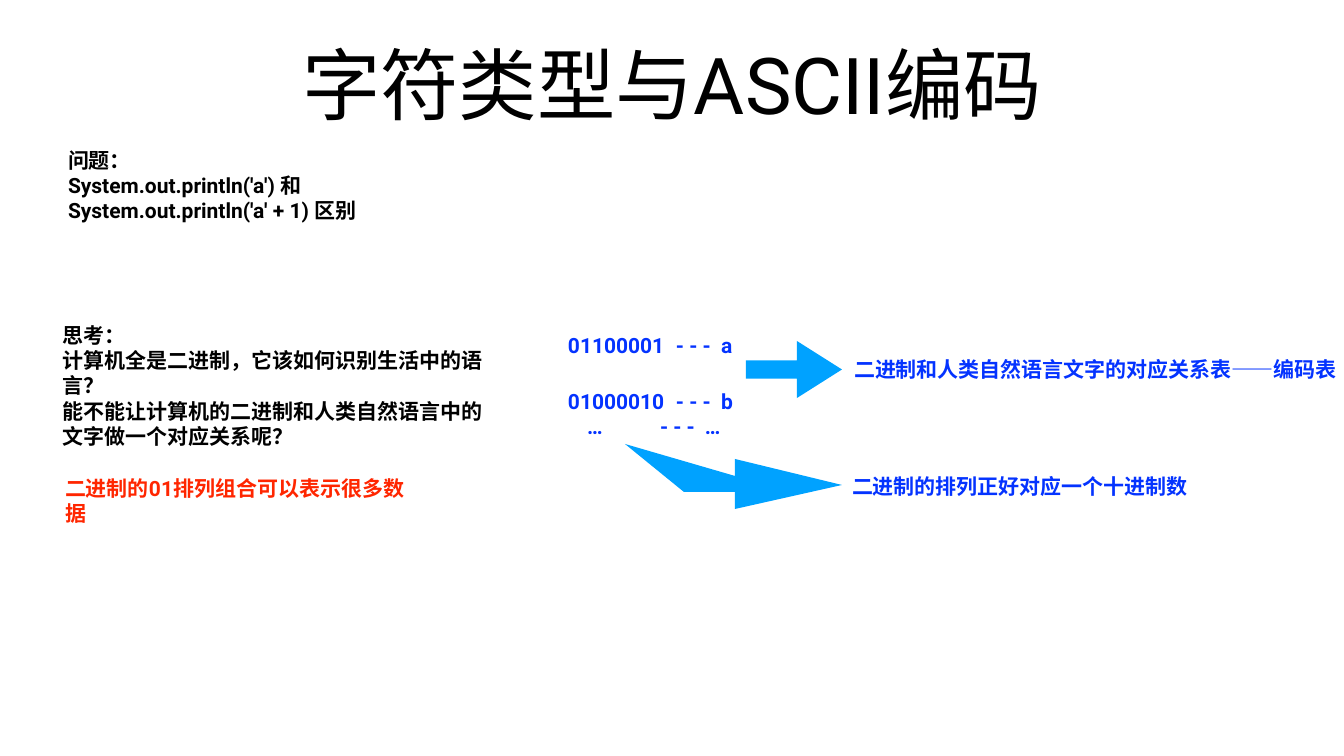
from lxml import etree
from pptx import Presentation
from pptx.dml.color import RGBColor
from pptx.enum import shapes, text
from pptx.oxml import ns

PX = 914400 / 50.4
BLACK = RGBColor(0x00, 0x00, 0x00)
BLUE = RGBColor(0x04, 0x33, 0xFF)
RED = RGBColor(0xFF, 0x26, 0x00)
SKY = RGBColor(0x00, 0xA2, 0xFF)


def px(*lengths):
    return [round(length * PX) for length in lengths]


def write(box, lines, color, size=30, bold=True, align=text.PP_ALIGN.LEFT, tabs=()):
    frame = slide.shapes.add_textbox(*px(*box)).text_frame
    frame.word_wrap = True
    frame.vertical_anchor = text.MSO_ANCHOR.MIDDLE
    frame.margin_left = frame.margin_right = frame.margin_top = frame.margin_bottom = px(3)[0]
    frame.text = "\n".join(lines)
    for paragraph, stops in zip(frame.paragraphs, tabs or [()] * len(lines)):
        paragraph.alignment = align
        if stops:
            tab_list = etree.SubElement(paragraph._p.get_or_add_pPr(), ns.qn("a:tabLst"))
            for stop in px(*stops):
                etree.SubElement(tab_list, ns.qn("a:tab"), pos=str(stop), algn="l")
        font = paragraph.font
        font.name, font.size, font.bold = "Roboto", size * 12700, bold
        font.color.rgb = color


deck = Presentation()
deck.slide_width, deck.slide_height = px(1344, 756)
slide = deck.slides.add_slide(deck.slide_layouts[6])

write((93, 20, 1158, 126), ["字符类型与ASCII编码"], BLACK, 112, False, text.PP_ALIGN.CENTER)
write((65, 138, 309, 94),
      ["问题：", "System.out.println('a') 和", "System.out.println('a' + 1) 区别"], BLACK)
write((60, 309, 438, 153),
      ["思考：", "计算机全是二进制，它该如何识别生活中的语言？",
       "能不能让计算机的二进制和人类自然语言中的文字做一个对应关系呢？"], BLACK)
write((62, 483, 366, 35), ["二进制的01排列组合可以表示很多数据"], RED)

code_stops, more_stops = (108, 153), (19, 92, 137)
write((565, 330, 180, 31), ["01100001\t- - -\ta"], BLUE, tabs=[code_stops])
write((565, 385, 210, 57), ["01000010\t- - -\tb", "\t…\t- - -\t…"], BLUE,
      tabs=[code_stops, more_stops])
write((851, 352, 492, 35), ["二进制和人类自然语言文字的对应关系表——编码表"], BLUE)
write((849, 469, 346, 35), ["二进制的排列正好对应一个十进制数"], BLUE)

table_arrow = slide.shapes.add_shape(shapes.MSO_SHAPE.RIGHT_ARROW, *px(746, 341, 96, 57))
table_arrow.adjustments[0] = 0.32
table_arrow.adjustments[1] = 0.79

outline = slide.shapes.build_freeform(735, 492, scale=PX)
outline.add_line_segments(
    [(735, 509), (842, 485), (735, 459), (735, 476), (625, 444), (684, 492)], close=True)
decimal_arrow = outline.convert_to_shape()

for arrow in (table_arrow, decimal_arrow):
    arrow.shadow.inherit = False
    arrow.fill.solid()
    arrow.fill.fore_color.rgb = SKY
    arrow.line.fill.background()

deck.save("out.pptx")
